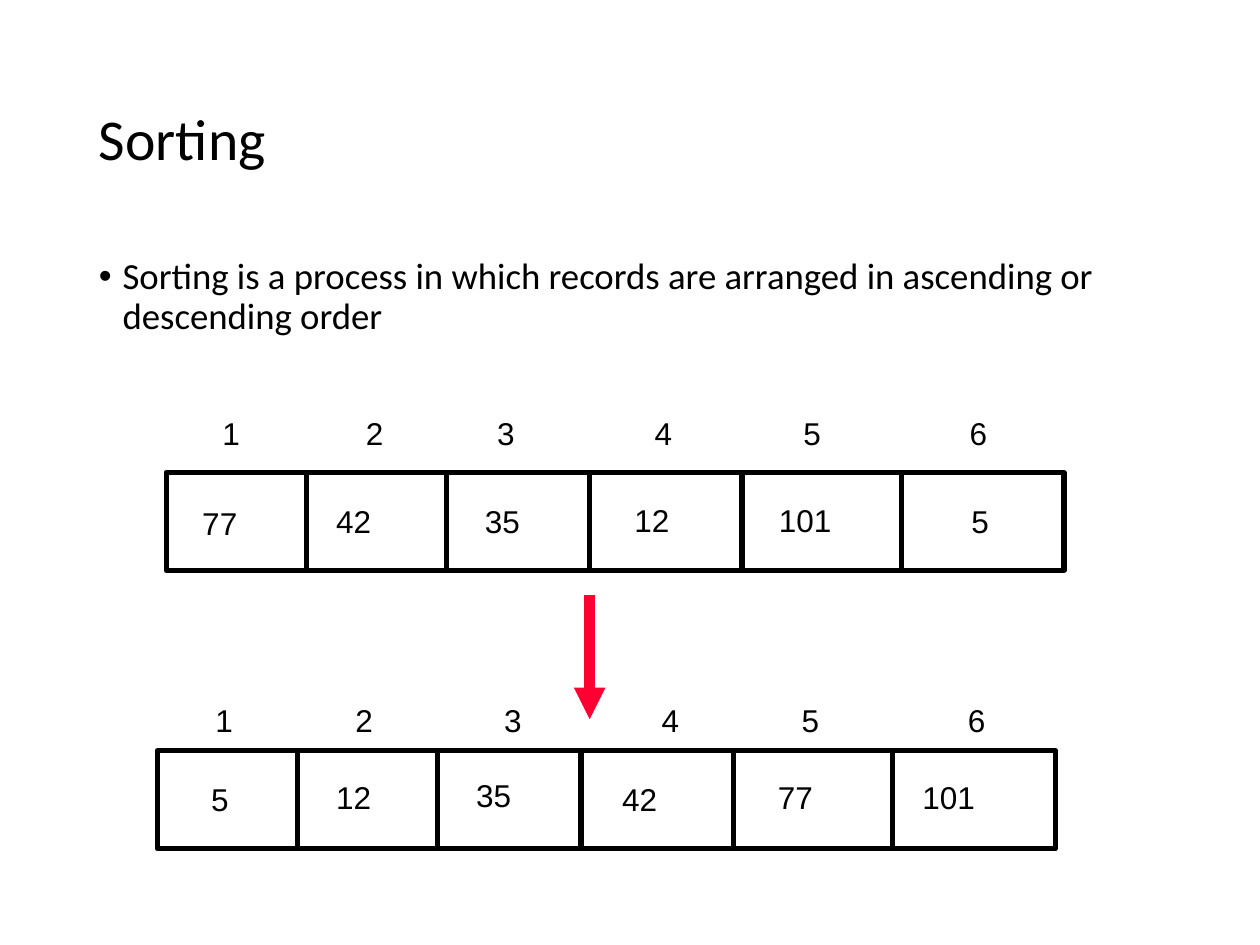
from lxml.etree import SubElement
from pptx import Presentation
from pptx.dml.color import RGBColor
from pptx.enum.shapes import MSO_CONNECTOR, MSO_SHAPE
from pptx.enum.text import MSO_ANCHOR
from pptx.oxml.ns import qn
from pptx.util import Pt

COLORS = {"black": "000000", "red": "FF0033"}
TITLE = "Sorting"
BODY = "Sorting is a process in which records are arranged in ascending or descending order"
INDEXES = ["1", "2", "3", "4", "5", "6"]
ROW_W, ROW_H = 513, 56
DIVIDERS = [80, 160, 242, 329, 420]
INSET, DIGIT_W, LABEL_H = 7.2, 10, 29
ROWS = [
    {
        "left": 95, "top": 270,
        "index_at": (120, 233), "index_tabs": [82, 157, 247, 332, 427],
        "values": [("77", 108.5, 284.5), ("42", 185, 283.5), ("35", 270, 283.5),
                   ("12", 355.5, 282.5), ("101", 438, 282.5), ("5", 548, 283.5)],
    },
    {
        "left": 90, "top": 429,
        "index_at": (116, 397), "index_tabs": [80, 165, 255, 335, 430],
        "values": [("5", 113.5, 442), ("12", 185, 441), ("35", 265, 440),
                   ("42", 348.5, 442), ("77", 437.5, 441), ("101", 520, 441)],
    },
]
ARROW = (337, 340, 337, 411)


def rgb(name):
    return RGBColor.from_string(COLORS[name])


def add_text(s, text, x, y, w, h, size, font, wrap=True):
    sp = s.shapes.add_textbox(Pt(x), Pt(y), Pt(w), Pt(h))
    tf = sp.text_frame
    tf.word_wrap = wrap
    p = tf.paragraphs[0]
    r = p.add_run()
    r.text = text
    r.font.size = Pt(size)
    r.font.name = font
    r.font.color.rgb = rgb("black")
    return tf


def add_bullet(p, indent):
    pPr = p._p.get_or_add_pPr()
    pPr.set("marL", str(Pt(indent)))
    pPr.set("indent", str(-Pt(indent)))
    SubElement(pPr, qn("a:buFont"), typeface="Arial")
    SubElement(pPr, qn("a:buChar"), char="•")


def add_tabs(p, stops):
    tabs = SubElement(p._p.get_or_add_pPr(), qn("a:tabLst"))
    for stop in stops:
        SubElement(tabs, qn("a:tab"), pos=str(Pt(stop)), algn="l")


def add_line(s, x1, y1, x2, y2, color="black", width=3, arrow=False):
    sp = s.shapes.add_connector(MSO_CONNECTOR.STRAIGHT, Pt(x1), Pt(y1), Pt(x2), Pt(y2))
    sp.line.color.rgb = rgb(color)
    sp.line.width = Pt(width)
    if arrow:
        SubElement(sp.line._get_or_add_ln(), qn("a:tailEnd"), type="triangle")
    SubElement(sp._element.spPr, qn("a:effectLst"))


def add_row(s, row):
    left, top = row["left"], row["top"]
    sp = s.shapes.add_shape(MSO_SHAPE.RECTANGLE, Pt(left), Pt(top), Pt(ROW_W), Pt(ROW_H))
    sp.shadow.inherit = False
    sp.fill.background()
    sp.line.color.rgb = rgb("black")
    sp.line.width = Pt(3)
    for dx in DIVIDERS:
        add_line(s, left + dx, top, left + dx, top + ROW_H)
    for text, x, y in row["values"]:
        w = 2 * INSET + DIGIT_W * len(text)
        add_text(s, text, x, y, w, LABEL_H, 18, "Arial", wrap=False)
    tf = add_text(s, "\t".join(INDEXES), *row["index_at"], 480, LABEL_H, 18, "Arial")
    add_tabs(tf.paragraphs[0], row["index_tabs"])


def main():
    prs = Presentation()
    prs.slide_width, prs.slide_height = Pt(720), Pt(540)
    s = prs.slides.add_slide(prs.slide_layouts[6])

    tf = add_text(s, TITLE, 49.5, 29, 621, 104, 33, "Calibri")
    tf.vertical_anchor = MSO_ANCHOR.MIDDLE
    tf.paragraphs[0].line_spacing = 0.9

    tf = add_text(s, BODY, 49.5, 144, 621, 343, 21, "Calibri")
    add_bullet(tf.paragraphs[0], 13.5)
    tf.paragraphs[0].line_spacing = 0.9

    for row in ROWS:
        add_row(s, row)
    add_line(s, *ARROW, color="red", width=6, arrow=True)
    prs.save("out.pptx")


if __name__ == "__main__":
    main()
